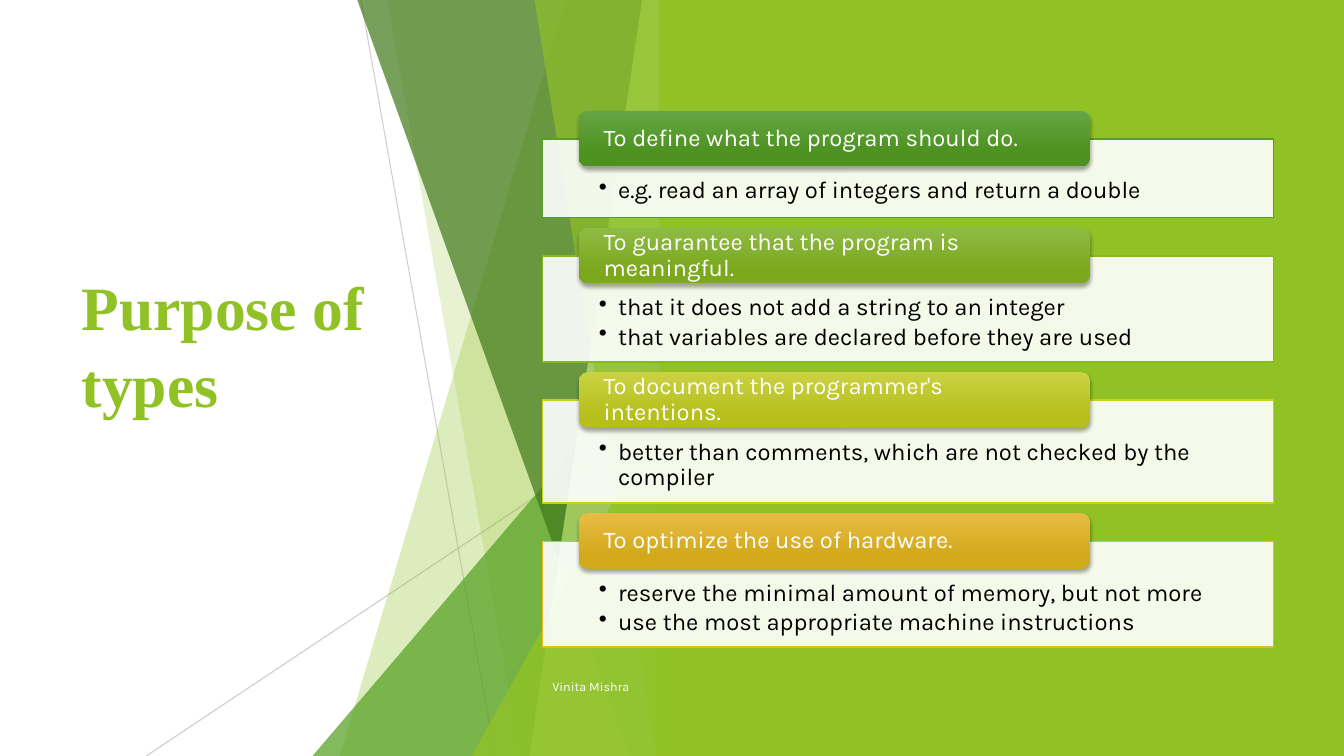
from pptx import Presentation
from pptx.dml.color import RGBColor
from pptx.enum.shapes import MSO_CONNECTOR, MSO_SHAPE
from pptx.enum.text import MSO_ANCHOR, PP_ALIGN
from pptx.oxml.ns import qn
from pptx.util import Inches, Pt
from lxml.etree import SubElement

COLORS = {
    "white": "FFFFFF", "black": "000000", "gray": "BFBFBF",
    "lime": "90C226", "green": "54A021", "forest": "3F7819", "pale": "C0E474",
}
BODY_FONT = "Karla"
TOP, BOTTOM, EDGE = -0.01, 7.5, 6.66

# Facets: top left x, bottom left x, colour, opacity; all end at EDGE
FACETS_BACK = [(5.61, 3.37, "lime", 30), (3.84, 5.16, "lime", 20)]
FACETS_FRONT = [(3.54, 6.24, "forest", 70), (6.37, 5.25, "pale", 70),
                (5.3, 6.51, "lime", 65)]

# Purposes: heading, details, panel height, outline, gradient colours
PURPOSES = [
    ("To define what the program should do.",
     ["e.g. read an array of integers and return a double"],
     0.78, "54A021", ("63A545", "4D921E")),
    ("To guarantee that the program is meaningful.",
     ["that it does not add a string to an integer",
      "that variables are declared before they are used"],
     1.05, "86B820", ("8EBB44", "7BA81D")),
    ("To document the programmer's intentions.",
     ["better than comments, which are not checked by the compiler"],
     1.02, "C7D01D", ("CAD243", "B6BF1B")),
    ("To optimize the use of hardware.",
     ["reserve the minimal amount of memory, but not more",
      "use the most appropriate machine instructions"],
     1.05, "E6B91E", ("E7BC43", "D2A91B")),
]
PANEL_LEFT, PANEL_TOP, PANEL_GAP = 5.38, 1.38, 0.38


def rgb(name):
    return RGBColor.from_string(COLORS.get(name, name))


def set_opacity(shape, percent):
    for color in shape.element.spPr.iter(qn("a:srgbClr")):
        SubElement(color, qn("a:alpha"), val=str(percent * 1000))


def paint(shape, color, opacity=100):
    shape.shadow.inherit = False
    shape.fill.solid()
    shape.fill.fore_color.rgb = rgb(color)
    if opacity < 100:
        set_opacity(shape, opacity)
    shape.line.fill.background()


def add_box(slide, kind, left, top, width, height):
    return slide.shapes.add_shape(kind, Inches(left), Inches(top),
                                  Inches(width), Inches(height))


def add_ray(slide, start, end, opacity):
    line = slide.shapes.add_connector(
        MSO_CONNECTOR.STRAIGHT, *[Inches(value) for value in start + end])
    line.line.color.rgb = rgb("gray")
    line.line.width = Pt(0.75)
    set_opacity(line, opacity)
    SubElement(line.element.spPr, qn("a:effectLst"))


def add_facet(slide, top_x, bottom_x, color, opacity):
    points = [(EDGE, TOP), (EDGE, BOTTOM), (bottom_x, BOTTOM)]
    builder = slide.shapes.build_freeform(Inches(top_x), Inches(TOP))
    builder.add_line_segments([(Inches(x), Inches(y)) for x, y in points])
    paint(builder.convert_to_shape(), color, opacity)


def add_corner(slide, left, top, color, opacity):
    corner = add_box(slide, MSO_SHAPE.ISOSCELES_TRIANGLE,
                     left, top, EDGE - left, BOTTOM - top)
    corner.adjustments[0] = 1
    paint(corner, color, opacity)


def set_frame(shape, anchor, left, top, right, bottom):
    frame = shape.text_frame
    frame.word_wrap = True
    frame.vertical_anchor = anchor
    frame.margin_left, frame.margin_top = Inches(left), Inches(top)
    frame.margin_right, frame.margin_bottom = Inches(right), Inches(bottom)
    return frame


def format_text(frame, size, color, font=BODY_FONT, bold=False, spacing=0.9):
    for paragraph in frame.paragraphs:
        paragraph.alignment = PP_ALIGN.LEFT
        paragraph.line_spacing = spacing
        for run in paragraph.runs:
            run.font.size = Pt(size)
            run.font.name = font
            run.font.bold = bold
            run.font.color.rgb = rgb(color)


def add_bullet(paragraph):
    properties = paragraph._p.get_or_add_pPr()
    properties.set("marL", str(Inches(0.19)))
    properties.set("indent", str(-Inches(0.19)))
    SubElement(properties, qn("a:buChar"), char="•")


def add_panel(slide, top, height, outline, details):
    panel = add_box(slide, MSO_SHAPE.RECTANGLE, PANEL_LEFT, top, 7.25, height)
    paint(panel, "white", 90)
    panel.line.color.rgb = rgb(outline)
    panel.line.width = Pt(1)
    frame = set_frame(panel, MSO_ANCHOR.TOP, 0.56, 0.39, 0.56, 0.13)
    frame.text = "\n".join(details)
    format_text(frame, 17, "black")
    for paragraph in frame.paragraphs:
        paragraph.space_after = Pt(2.55)
        add_bullet(paragraph)


def add_heading(slide, top, gradient, text):
    bar = add_box(slide, MSO_SHAPE.ROUNDED_RECTANGLE,
                  PANEL_LEFT + 0.36, top, 5.07, 0.55)
    paint(bar, gradient[0])
    bar.fill.gradient()
    bar.fill.gradient_angle = 270
    for stop, color, position in zip(bar.fill.gradient_stops, gradient, (0, 0.78)):
        stop.color.rgb = rgb(color)
        stop.position = position
    # Soft shadow below the bar
    effects = bar.element.spPr.find(qn("a:effectLst"))
    shadow = SubElement(effects, qn("a:outerShdw"), blurRad=str(Pt(3)),
                        dist=str(Pt(2)), dir="5400000", rotWithShape="0")
    shade = SubElement(shadow, qn("a:srgbClr"), val=COLORS["black"])
    SubElement(shade, qn("a:alpha"), val="35000")
    frame = set_frame(bar, MSO_ANCHOR.MIDDLE, 0.22, 0, 0.22, 0)
    frame.text = text
    format_text(frame, 17, "white")


def add_title(slide):
    title = slide.shapes.title
    title.left, title.top = Inches(0.71), Inches(1.51)
    title.width, title.height = Inches(3.88), Inches(4.48)
    frame = set_frame(title, MSO_ANCHOR.MIDDLE, 0.1, 0.05, 0.1, 0.75)
    frame.text = "Purpose of types"
    format_text(frame, 44, "lime", "Times New Roman", True, 1.05)


def add_footer(slide):
    footer = slide.shapes.add_textbox(Inches(PANEL_LEFT), Inches(6.61),
                                      Inches(6), Inches(0.4))
    frame = set_frame(footer, MSO_ANCHOR.MIDDLE, 0.1, 0.05, 0.1, 0.05)
    frame.text = "Vinita Mishra"
    format_text(frame, 9, "white", spacing=1)


def main():
    presentation = Presentation()
    presentation.slide_width = Inches(13.33)
    presentation.slide_height = Inches(7.5)
    slide = presentation.slides.add_slide(presentation.slide_layouts[5])
    add_title(slide)

    # Faceted backdrop
    add_ray(slide, (3.58, 0), (4.91, 7.5), 75)
    add_ray(slide, (EDGE, 4.03), (1.45, 7.5), 80)
    for facet in FACETS_BACK:
        add_facet(slide, *facet)
    add_corner(slide, 3.1, 3.33, "green", 72)
    for facet in FACETS_FRONT:
        add_facet(slide, *facet)
    add_corner(slide, 4.68, 3.93, "lime", 80)
    paint(add_box(slide, MSO_SHAPE.RECTANGLE, 6.54, 0, 6.79, 7.5), "lime")
    add_footer(slide)

    # Purposes, stacked with equal gaps
    top = PANEL_TOP
    for heading, details, height, outline, gradient in PURPOSES:
        add_panel(slide, top, height, outline, details)
        add_heading(slide, top - 0.28, gradient, heading)
        top += height + PANEL_GAP

    presentation.save("out.pptx")


main()
